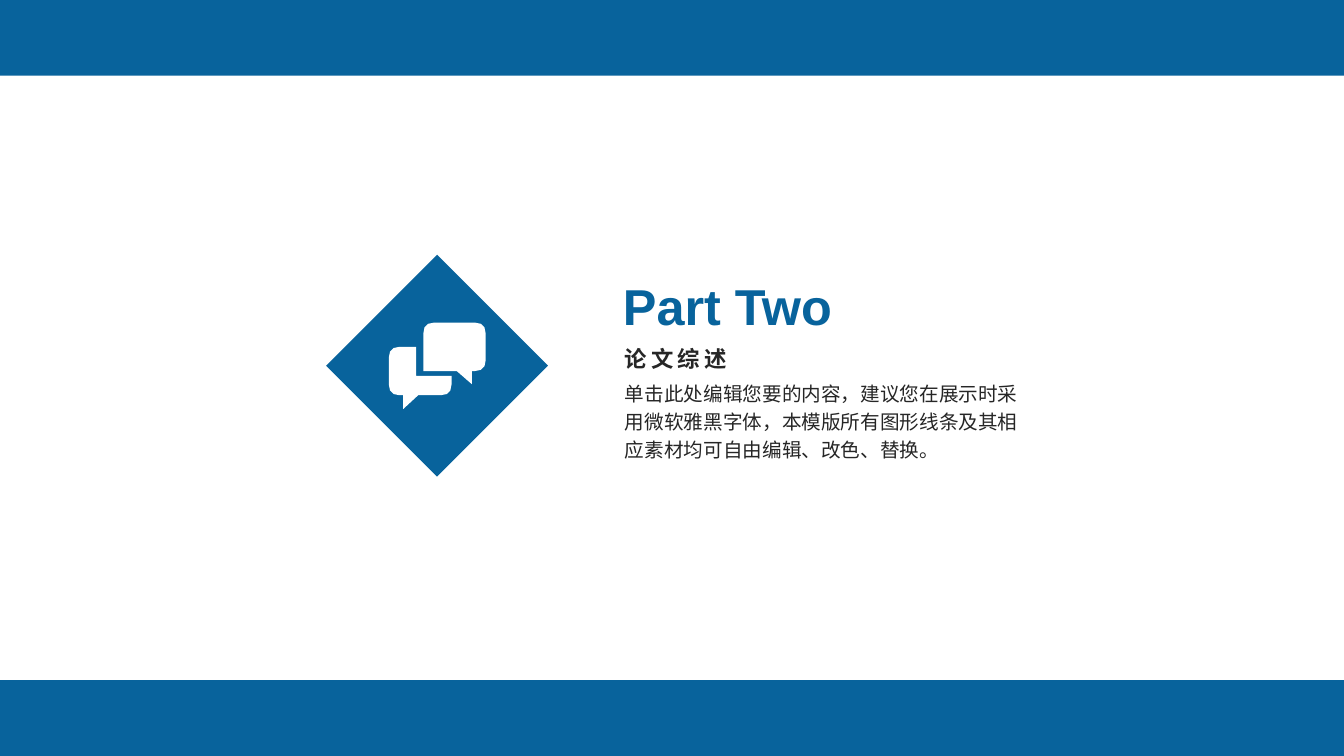
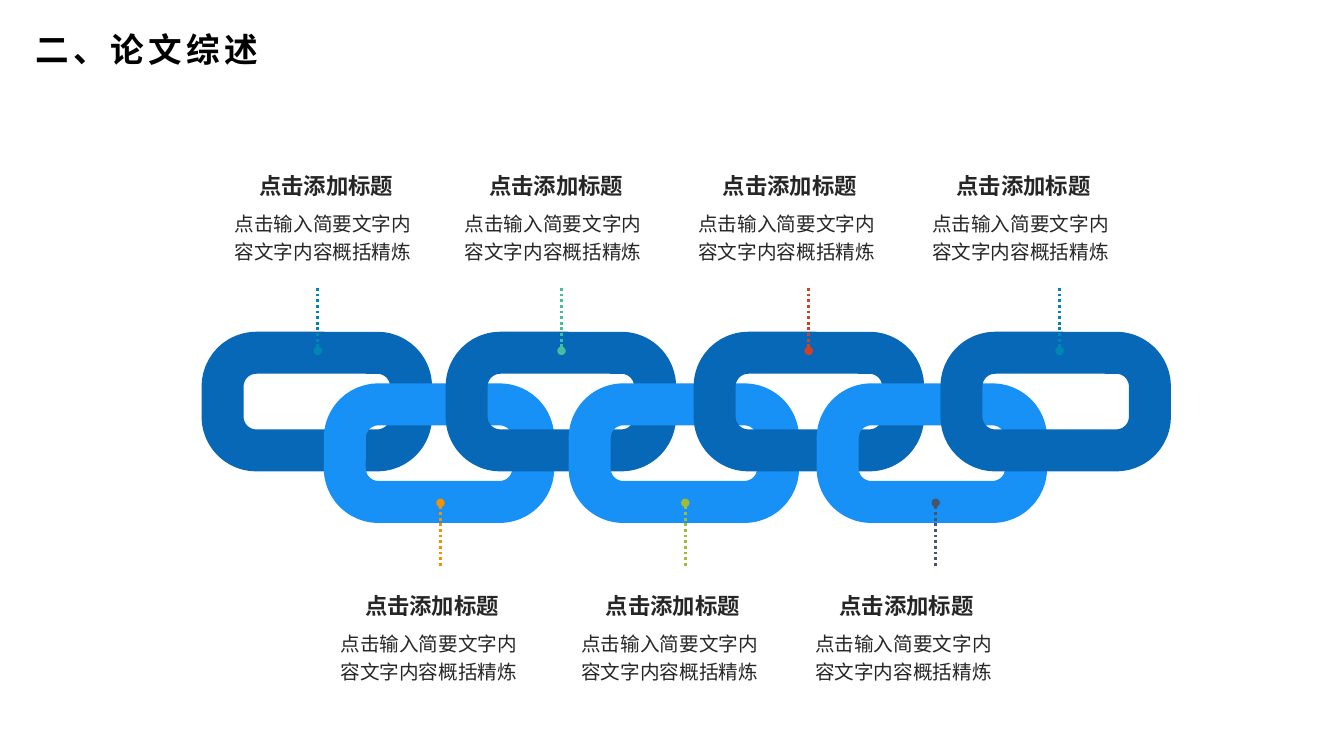
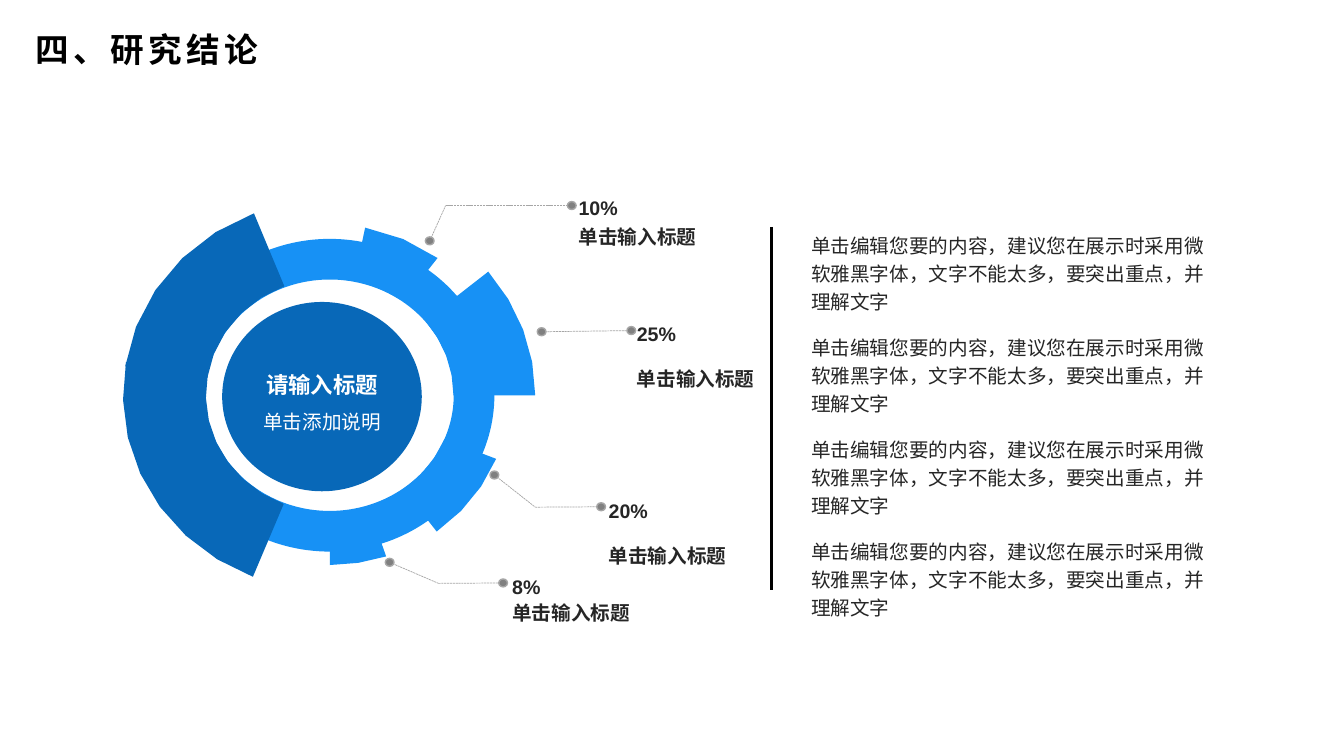
from math import cos, radians, sin

from lxml.etree import SubElement
from pptx import Presentation
from pptx.dml.color import RGBColor
from pptx.enum.dml import MSO_LINE
from pptx.enum.lang import MSO_LANGUAGE_ID
from pptx.enum.shapes import MSO_CONNECTOR, MSO_SHAPE
from pptx.enum.text import MSO_ANCHOR, MSO_AUTO_SIZE, PP_ALIGN
from pptx.oxml.ns import qn
from pptx.util import Cm, Pt

NAVY = RGBColor(0x08, 0x63, 0x9C)
DEEP = RGBColor(0x08, 0x68, 0xB8)
BRIGHT = RGBColor(0x17, 0x91, 0xF5)
TEAL = RGBColor(0x00, 0x87, 0xB1)
ORANGE = RGBColor(0xF4, 0x91, 0x00)
MINT = RGBColor(0x45, 0xBE, 0x9B)
LIME = RGBColor(0xA0, 0xBC, 0x34)
RED = RGBColor(0xD4, 0x40, 0x24)
SLATE = RGBColor(0x46, 0x55, 0x6A)
INK = RGBColor(0x26, 0x26, 0x26)
BLACK = RGBColor(0, 0, 0)
WHITE = RGBColor(0xFF, 0xFF, 0xFF)
GREY = RGBColor(0x80, 0x80, 0x80)
PALE_GREY = RGBColor(0xA6, 0xA6, 0xA6)

WIDTH, HEIGHT, BAND = 33.87, 19.05, 1.91
INSETS = (0.25, 0.13)
BASE = {"name": "Arial", "bold": False, "language_id": MSO_LANGUAGE_ID.SIMPLIFIED_CHINESE}
BODY = BASE | {"size": Pt(14)}
LABEL = BODY | {"bold": True}
HEADING = LABEL | {"size": Pt(16)}
TITLE = LABEL | {"size": Pt(24)}
PART = LABEL | {"size": Pt(36)}

RING_CENTRE = (8.31, 9.96)
RING_INNER = (3.12, 2.95)


def place(box, left, top, width, height):
    """Move and size a shape, in centimetres."""
    for name, value in {"left": left, "top": top, "width": width, "height": height}.items():
        setattr(box, name, Cm(value))


def write(box, lines, look, color=INK, align=PP_ALIGN.LEFT, leading=1.0, gap=0, tracking=0, insets=INSETS):
    """Fill a text box or placeholder with one paragraph per line."""
    frame = box.text_frame
    side, edge = map(Cm, insets)
    settings = {"word_wrap": True, "auto_size": MSO_AUTO_SIZE.NONE, "vertical_anchor": MSO_ANCHOR.TOP,
                "margin_left": side, "margin_right": side, "margin_top": edge, "margin_bottom": edge}
    for name, value in settings.items():
        setattr(frame, name, value)
    for number, line in enumerate(lines):
        para = frame.add_paragraph() if number else frame.paragraphs[0]
        spacing = {"alignment": align, "line_spacing": leading, "space_before": Pt(gap if number else 0)}
        for name, value in spacing.items():
            setattr(para, name, value)
        if box.is_placeholder:
            properties = para._p.get_or_add_pPr()
            properties.set("marL", "0")
            properties.set("indent", "0")
            SubElement(properties, qn("a:buNone"))
        span = para.add_run()
        span.text = line
        for name, value in look.items():
            setattr(span.font, name, value)
        span.font.color.rgb = color
        run_properties = span._r.get_or_add_rPr()
        SubElement(run_properties, qn("a:ea")).set("typeface", look["name"])
        if tracking:
            run_properties.set("spc", str(tracking))


def add_text(page, at, text, look, **options):
    """Add a text box."""
    box = page.shapes.add_textbox(*map(Cm, at))
    write(box, [text], look, **options)


def paint(shape, fill=None, line=None, weight=1):
    """Set fill and outline, without a shadow."""
    shape.shadow.inherit = False
    if fill is None:
        shape.fill.background()
    else:
        shape.fill.solid()
        shape.fill.fore_color.rgb = fill
    if line is None:
        shape.line.fill.background()
    else:
        shape.line.color.rgb = line
        shape.line.width = Pt(weight)
    return shape


def add_preset(page, kind, at, **colors):
    """Add a painted preset shape."""
    return paint(page.shapes.add_shape(kind, *map(Cm, at)), **colors)


def add_line(page, start, end, color, weight, dash=None, dot=False):
    """Add a straight line, with a round dot at its start if asked."""
    line = page.shapes.add_connector(MSO_CONNECTOR.STRAIGHT, *map(Cm, (*start, *end)))
    line.line.color.rgb = color
    line.line.width = Pt(weight)
    if dash:
        line.line.dash_style = dash
    if dot:
        SubElement(line.line._get_or_add_ln(), qn("a:headEnd")).set("type", "oval")
    SubElement(line._element.spPr, qn("a:effectLst"))


def add_outline(page, contours, fill):
    """Add one freeform made of closed contours."""
    contours = [[(Cm(x), Cm(y)) for x, y in contour] for contour in contours]
    builder = page.shapes.build_freeform(*contours[0][0])
    for number, contour in enumerate(contours):
        if number:
            builder.move_to(*contour[0])
        builder.add_line_segments(contour[1:], close=True)
    paint(builder.convert_to_shape(), fill)


def rounded(corners, radius=0.27, steps=3):
    """Return a contour whose corners marked True are rounded."""
    points = []
    for number, (x, y, is_round) in enumerate(corners):
        if not is_round:
            points.append((x, y))
            continue
        ends = []
        for other in (corners[number - 1], corners[(number + 1) % len(corners)]):
            dx, dy = other[0] - x, other[1] - y
            share = radius / (dx * dx + dy * dy) ** 0.5
            ends.append((x + dx * share, y + dy * share))
        (ax, ay), (bx, by) = ends
        for step in range(steps + 1):
            t = step / steps
            near, mid, far = (1 - t) ** 2, 2 * t * (1 - t), t * t
            points.append((near * ax + mid * x + far * bx, near * ay + mid * y + far * by))
    return points


def add_sector(page, first, last, scale, fill):
    """Add a ring sector between two angles, reaching scale times the inner radius."""
    steps = max(2, round((last - first) / 11))

    def arc(begin, end, reach):
        angles = [radians(begin + (end - begin) * step / steps) for step in range(steps + 1)]
        return [(RING_CENTRE[0] + RING_INNER[0] * reach * cos(angle),
                 RING_CENTRE[1] + RING_INNER[1] * reach * sin(angle)) for angle in angles]
    add_outline(page, [arc(first, last, scale) + arc(last, first, 1)], fill)


def add_page(deck, layout, title):
    """Add a page with the shared title style."""
    page = deck.slides.add_slide(deck.slide_layouts[layout])
    place(page.shapes.title, 0.64, 0.61, 10.03, 1.27)
    write(page.shapes.title, [title], TITLE, color=BLACK, tracking=300)
    return page


def add_callout(page, left, top, pin_x, pin_from, pin_to, color):
    """Add a dotted pin with its heading and description."""
    add_line(page, (pin_x, pin_from), (pin_x, pin_to), color, 2, MSO_LINE.ROUND_DOT, dot=True)
    add_text(page, (left, top, 4.98, 1.7), "点击输入简要文字内容文字内容概括精炼", BODY, leading=1.2)
    add_text(page, (left + 0.62, top - 0.88, 3.94, 0.94), "点击添加标题", HEADING)


def add_leader(page, points, left, label_top, caption_top, label):
    """Add a dashed leader with end dots, a percentage and a caption."""
    for start, end in zip(points, points[1:]):
        add_line(page, start, end, PALE_GREY, 0.5, MSO_LINE.SQUARE_DOT)
    for x, y in (points[0], points[-1]):
        add_preset(page, MSO_SHAPE.OVAL, (x - 0.11, y - 0.1, 0.22, 0.2), fill=GREY, line=PALE_GREY)
    add_text(page, (left, label_top, 1.75, 0.86), label, LABEL)
    add_text(page, (left, caption_top, 3.66, 0.86), "单击输入标题", LABEL)


def build_section(deck):
    """Build the section opener."""
    page = deck.slides.add_slide(deck.slide_layouts[1])
    for top in (HEIGHT - BAND, 0):
        add_preset(page, MSO_SHAPE.RECTANGLE, (0, top, WIDTH, BAND), fill=NAVY)
    add_preset(page, MSO_SHAPE.DIAMOND, (8.22, 6.42, 5.59, 5.59), fill=NAVY)
    back = [(10.49, 8.74, False), (9.8, 8.74, True), (9.8, 9.96, True), (10.16, 9.96, False),
            (10.16, 10.31, False), (10.54, 9.96, False), (11.38, 9.96, True),
            (11.38, 9.47, False), (10.49, 9.47, False)]
    front = [(10.67, 8.13, True), (10.67, 9.35, False), (11.51, 9.35, False), (11.89, 9.68, False),
             (11.89, 9.35, False), (12.24, 9.35, True), (12.24, 8.13, True)]
    add_outline(page, [rounded(back), rounded(front)], WHITE)
    title, body = page.placeholders
    place(title, 15.45, 6.81, 8.08, 1.8)
    write(title, ["Part Two"], PART, color=NAVY)
    add_text(page, (15.49, 8.57, 6.5, 0.94), "论文综述", HEADING, tracking=300)
    place(body, 15.75, 9.5, 10.24, 2.16)
    paint(body, WHITE)
    text = "单击此处编辑您要的内容，建议您在展示时采用微软雅黑字体，本模版所有图形线条及其相应素材均可自由编辑、改色、替换。"
    write(body, [text], BODY, leading=1.2, insets=(0, 0))


def build_chain(deck):
    """Build the chain of seven links with callouts."""
    page = add_page(deck, 5, "二、论文综述")
    for number, left in enumerate((5.61, 8.69, 11.76, 14.86, 18.01, 21.11, 24.23)):
        top, color = ((8.89, DEEP), (10.19, BRIGHT))[number % 2]
        link = add_preset(page, MSO_SHAPE.ROUNDED_RECTANGLE, (left, top, 4.75, 2.46),
                          line=color, weight=30)
        link.adjustments[0] = 0.345
    callouts = [(5.66, 8.01, TEAL), (8.33, 11.1, ORANGE), (11.46, 14.15, MINT), (14.4, 17.27, LIME),
                (17.35, 20.38, RED), (20.29, 23.58, SLATE), (23.24, 26.7, TEAL)]
    for number, (left, pin_x, color) in enumerate(callouts):
        top, pin_from, pin_to = ((5.09, 8.84, 7.24), (15.68, 12.67, 14.27))[number % 2]
        add_callout(page, left, top, pin_x, pin_from, pin_to, color)


def build_conclusion(deck):
    """Build the ring with leaders and the list beside it."""
    page = add_page(deck, 1, "四、研究结论")
    x, y = RING_CENTRE
    ring = add_preset(page, MSO_SHAPE.DONUT, (x - 4.15, y - 3.94, 8.3, 7.88), fill=BRIGHT)
    ring.adjustments[0] = 0.13
    sectors = [(22, 53.4, 1.45, BRIGHT), (71.7, 90, 1.45, BRIGHT), (-78.7, -53.4, 1.46, BRIGHT),
               (111.8, 189.8, 1.67, DEEP), (-39.5, 0, 1.66, BRIGHT), (188.5, 248.5, 1.67, DEEP)]
    for sector in sectors:
        add_sector(page, *sector)
    add_preset(page, MSO_SHAPE.OVAL, (5.6, 7.61, 5.03, 4.77), fill=DEEP)
    white_centred = {"color": WHITE, "align": PP_ALIGN.CENTER}
    add_text(page, (6.05, 10.21, 4.14, 0.86), "单击添加说明", BODY, **white_centred)
    add_text(page, (6.05, 9.22, 4.14, 0.94), "请输入标题", HEADING, **white_centred)
    leaders = [([(10.83, 6.07), (11.23, 5.18), (14.41, 5.18)], 14.33, 4.8, 5.54, "10%"),
               ([(13.65, 8.36), (15.91, 8.33)], 15.8, 7.98, 9.12, "25%"),
               ([(12.46, 11.97), (13.49, 12.78), (15.15, 12.77)], 15.09, 12.45, 13.57, "20%"),
               ([(9.82, 14.17), (11.05, 14.7), (12.68, 14.69)], 12.66, 14.37, 15.01, "8%")]
    for leader in leaders:
        add_leader(page, *leader)
    add_line(page, (19.45, 5.72), (19.45, 14.86), BLACK, 2.25)
    body = page.placeholders[1]
    place(body, 20.19, 5.64, 10.77, 10.13)
    text = "单击编辑您要的内容，建议您在展示时采用微软雅黑字体，文字不能太多，要突出重点，并理解文字"
    write(body, [text] * 4, BODY, leading=1.2, gap=12.4)


def main():
    """Build and save the deck."""
    deck = Presentation()
    deck.slide_width, deck.slide_height = Cm(WIDTH), Cm(HEIGHT)
    for build in (build_section, build_chain, build_conclusion):
        build(deck)
    deck.save("out.pptx")


if __name__ == "__main__":
    main()
